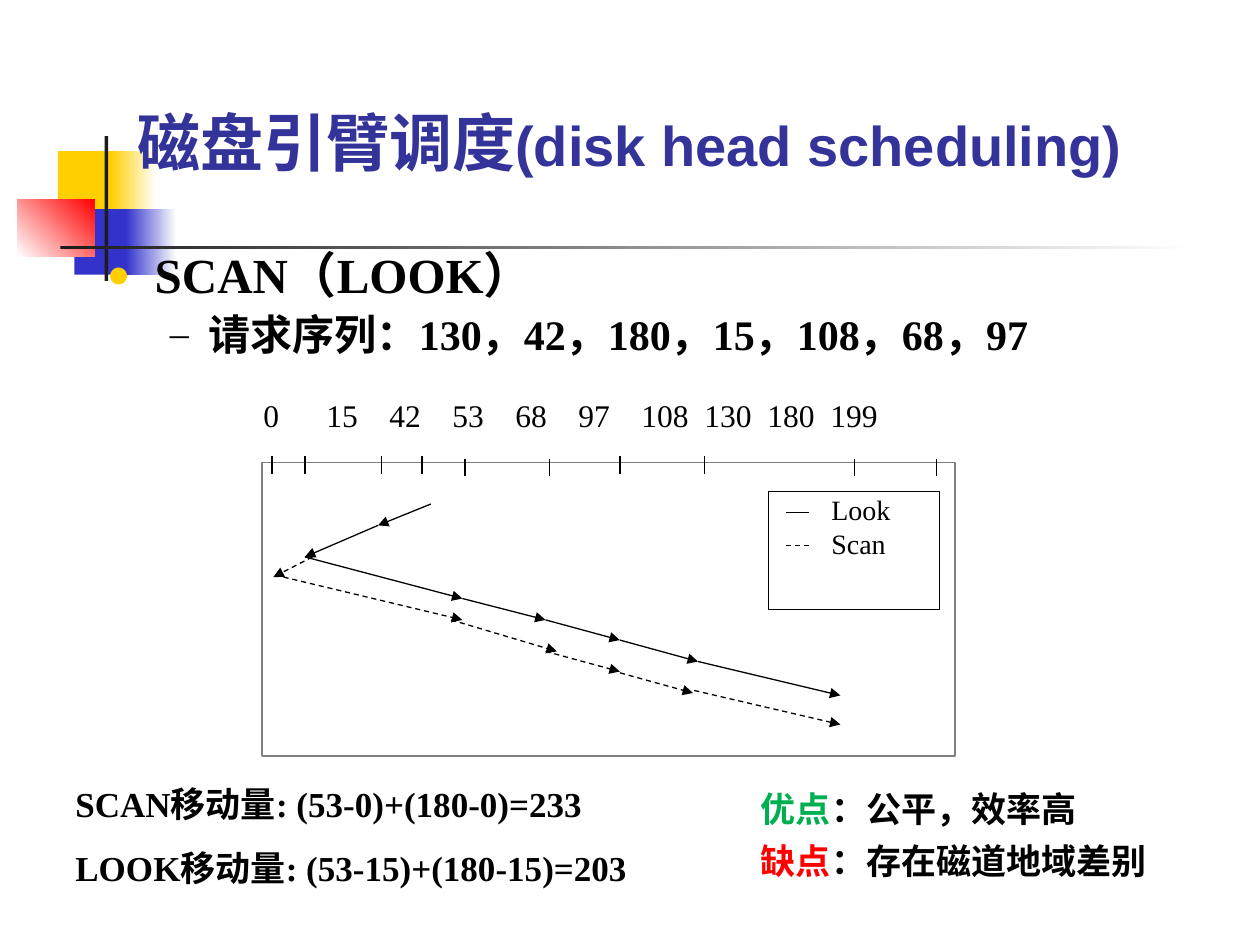
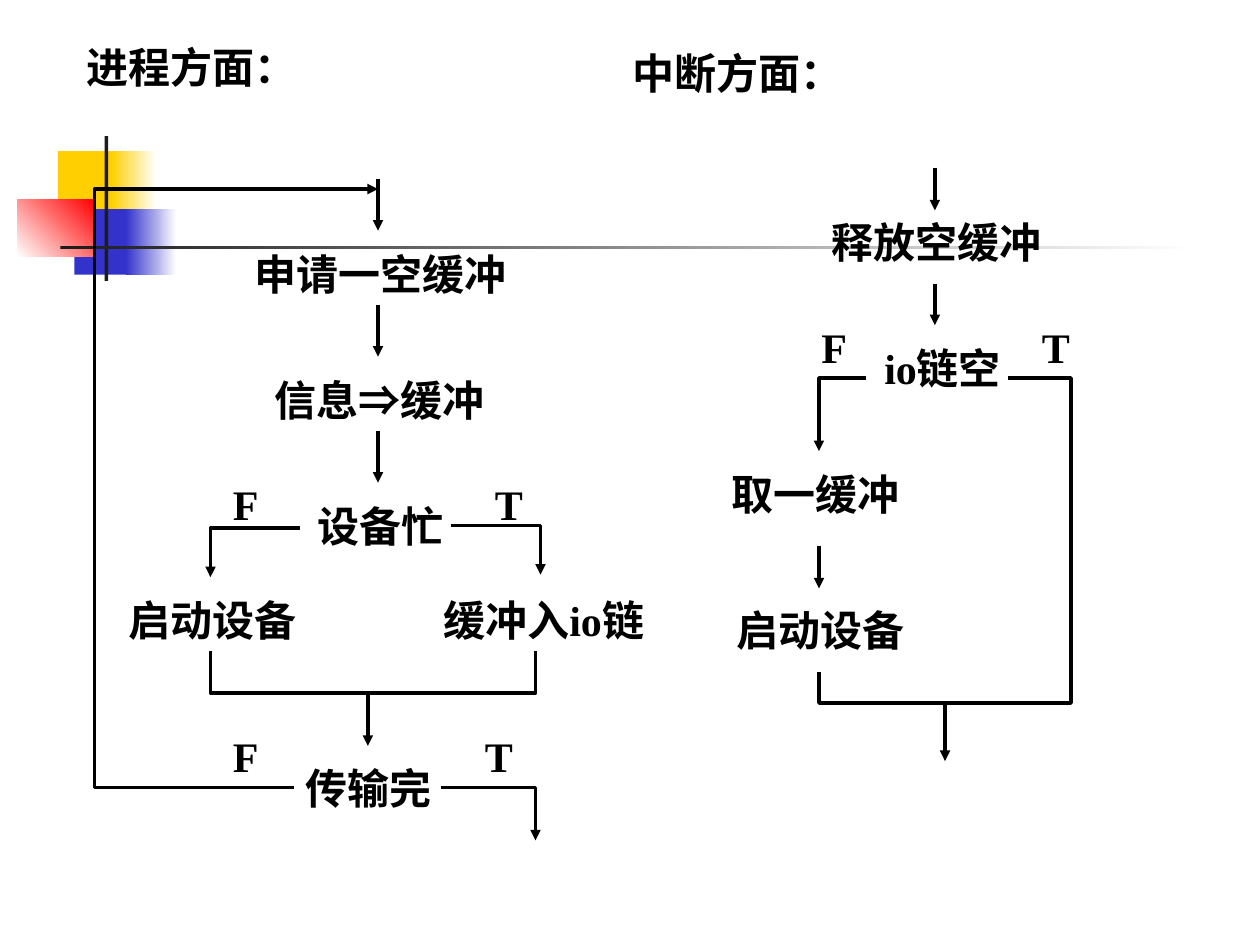
from dataclasses import dataclass
from itertools import pairwise
from typing import Optional

from lxml import etree
from pptx import Presentation
from pptx.dml.color import RGBColor
from pptx.enum.dml import MSO_LINE
from pptx.enum.lang import MSO_LANGUAGE_ID
from pptx.enum.shapes import MSO_CONNECTOR, MSO_SHAPE
from pptx.enum.text import MSO_ANCHOR, PP_ALIGN
from pptx.oxml.ns import qn
from pptx.util import Inches, Pt

RECTANGLE = MSO_SHAPE.RECTANGLE
STRAIGHT = MSO_CONNECTOR.STRAIGHT
DASH = MSO_LINE.DASH
CENTER, LEFT = PP_ALIGN.CENTER, PP_ALIGN.LEFT
MIDDLE, TOP = MSO_ANCHOR.MIDDLE, MSO_ANCHOR.TOP
CHINESE = MSO_LANGUAGE_ID.SIMPLIFIED_CHINESE

COLORS = {
    "yellow": "FFCF01", "blue": "3333CC", "red": "FF0000", "white": "FFFFFF",
    "charcoal": "1C1C1C", "title": "333399", "black": "000000",
    "gray": "808080", "green": "00B050",
}
SERIF, SANS, NOTE_FONT = "Times New Roman", "Arial", "Karla"

Point = tuple[float, float]
Box = tuple[float, float, float, float]


@dataclass(frozen=True)
class Run:
    text: str
    size: float = 24
    font: str = SERIF
    color: str = "black"
    bold: bool = True


@dataclass(frozen=True)
class Bullet:
    char: str
    color: str
    percent: int


@dataclass(frozen=True)
class Para:
    runs: list[Run]
    before: float = 0
    spacing: Optional[float] = None
    align: PP_ALIGN = LEFT
    indent: Point = (0, 0)  # left margin, first line
    bullet: Optional[Bullet] = None
    tabs: tuple[float, ...] = ()


@dataclass(frozen=True)
class Band:
    box: Box
    start: str
    end: Optional[str] = None
    angle: float = 0


BANDS = [
    Band((0.46, 1.2, 0.48, 0.52), "yellow"),
    Band((0.88, 1.2, 0.36, 0.52), "yellow", "white"),
    Band((0.59, 1.66, 0.46, 0.52), "blue"),
    Band((1, 1.66, 0.4, 0.52), "blue", "white"),
    Band((0.14, 1.58, 0.61, 0.46), "white", "red", 45),
    Band((0.83, 1.08, 0.03, 1.15), "charcoal"),
    Band((0.48, 1.95, 9, 0.03), "charcoal", "white"),
]

# Track number, label left edge, tick x, tick top
TRACKS = [
    ("0", 2.09, 2.16, 3.62), ("15", 2.33, 2.42, 3.62), ("42", 2.9, 3.03, 3.62),
    ("53", 3.27, 3.35, 3.62), ("68", 3.65, 3.69, 3.64), ("97", 4.28, 4.36, 3.64),
    ("108", 4.77, 4.92, 3.62), ("130", 5.46, 5.59, 3.62),
    ("180", 6.52, 6.78, 3.64), ("199", 7.15, 7.43, 3.64),
]
TICK_LENGTH = 0.14
LOOK_ROUTE = [(3.42, 4), (3, 4.17), (2.42, 4.42), (3.67, 4.75), (4.33, 4.92),
              (4.92, 5.08), (5.54, 5.25), (6.67, 5.52)]
SCAN_MOVES = [
    ((2.48, 4.42), (2.17, 4.58)), ((2.25, 4.58), (3.67, 4.92)),
    ((3.58, 4.92), (4.42, 5.17)), ((4.33, 5.17), (4.92, 5.33)),
    ((4.92, 5.34), (5.5, 5.5)), ((5.51, 5.48), (6.67, 5.75)),
]

# Text, left, top, width
FLOW_STEPS = [
    ("进程方面：", 0.59, 0.28, 1.83), ("中断方面：", 4.92, 0.33, 1.83),
    ("申请一空缓冲", 1.92, 1.92, 2.33), ("设备忙", 2.42, 3.92, 1.33),
    ("启动设备", 0.92, 4.67, 1.75), ("缓冲入io链", 3.42, 4.67, 1.92),
    ("传输完", 2.33, 6, 1.5), ("释放空缓冲", 6.5, 1.67, 1.92),
    ("io链空", 6.92, 2.67, 1.33), ("取一缓冲", 5.71, 3.67, 1.58),
    ("启动设备", 5.75, 4.75, 1.58),
    ("F", 1.75, 3.75, 0.42), ("T", 3.83, 3.75, 0.42),
    ("F", 1.75, 5.75, 0.42), ("T", 3.75, 5.75, 0.42),
    ("F", 6.42, 2.5, 0.42), ("T", 8.17, 2.5, 0.42),
]
# x, top, bottom
DOWN_ARROWS = [
    (3, 1.42, 1.83), (3, 2.42, 2.83), (3, 3.42, 3.83), (2.92, 5.5, 5.92),
    (7.42, 1.33, 1.67), (7.42, 2.25, 2.58), (6.5, 4.33, 4.67), (7.5, 5.58, 6.04),
]
BRANCHES = [
    [(3.58, 4.17), (4.29, 4.17), (4.29, 4.56)],
    [(2.38, 4.19), (1.67, 4.19), (1.67, 4.58)],
    [(2.33, 6.25), (0.75, 6.25), (0.75, 1.5), (3, 1.5)],
    [(3.5, 6.25), (4.25, 6.25), (4.25, 6.67)],
    [(6.87, 3), (6.5, 3), (6.5, 3.58)],
]
MERGES = [
    [(8, 3), (8.5, 3), (8.5, 5.58), (6.5, 5.58), (6.5, 5.33)],
    [(1.67, 5.17), (1.67, 5.5), (4.25, 5.5), (4.25, 5.17)],
]


def rgb(name: str) -> RGBColor:
    return RGBColor.from_string(COLORS[name])


def add_child(parent, tag: str, **attributes: str):
    return etree.SubElement(parent, qn(tag), attributes)


def style_line(line, color: str, width: float, dashed: bool = False, arrow: bool = False) -> None:
    line.color.rgb = rgb(color)
    line.width = Pt(width)
    if dashed:
        line.dash_style = DASH
    if arrow:
        add_child(line._get_or_add_ln(), "a:tailEnd", type="triangle")


def draw_band(slide, band: Band) -> None:
    shape = slide.shapes.add_shape(RECTANGLE, *map(Inches, band.box))
    shape.shadow.inherit = False
    shape.line.fill.background()
    if band.end is None:
        shape.fill.solid()
        shape.fill.fore_color.rgb = rgb(band.start)
        return
    shape.fill.gradient()
    shape.fill.gradient_angle = band.angle
    for stop, color in zip(shape.fill.gradient_stops, (band.start, band.end)):
        stop.color.rgb = rgb(color)


def draw_frame(slide, box: Box, color: str):
    frame = slide.shapes.add_shape(RECTANGLE, *map(Inches, box))
    frame.shadow.inherit = False
    frame.fill.background()
    style_line(frame.line, color, 0.75)
    return frame


def draw_line(slide, start: Point, end: Point, width: float = 0.75,
              dashed: bool = False, arrow: bool = False) -> None:
    line = slide.shapes.add_connector(STRAIGHT, *map(Inches, (*start, *end)))
    style_line(line.line, "black", width, dashed, arrow)
    add_child(line._element.spPr, "a:effectLst")


def draw_route(slide, points: list[Point], arrow: bool) -> None:
    """Draw an open, bent line through the points."""
    corners = [(Inches(x), Inches(y)) for x, y in points]
    builder = slide.shapes.build_freeform(*corners[0])
    builder.add_line_segments(corners[1:], close=False)
    route = builder.convert_to_shape()
    route.shadow.inherit = False
    route.fill.background()
    style_line(route.line, "black", 2, arrow=arrow)


def format_paragraph(paragraph, para: Para) -> None:
    paragraph.alignment = para.align
    paragraph.space_before = Pt(para.before)
    if para.spacing:
        paragraph.line_spacing = para.spacing
    props = paragraph._p.get_or_add_pPr()
    margin, first_line = para.indent
    props.set("marL", str(Inches(margin)))
    props.set("indent", str(Inches(first_line)))
    if para.bullet:
        color = add_child(props, "a:buClr")
        add_child(color, "a:srgbClr", val=COLORS[para.bullet.color])
        add_child(props, "a:buSzPct", val=str(para.bullet.percent * 1000))
        add_child(props, "a:buFont", typeface=SERIF)
        add_child(props, "a:buChar", char=para.bullet.char)
    if para.tabs:
        stops = add_child(props, "a:tabLst")
        for position in para.tabs:
            add_child(stops, "a:tab", pos=str(Inches(position)), algn="l")


def fill_text(frame, paras: list[Para], insets: Box = (0.1, 0.05, 0.1, 0.05),
              anchor: MSO_ANCHOR = TOP) -> None:
    frame.word_wrap = True
    frame.vertical_anchor = anchor
    (frame.margin_left, frame.margin_top,
     frame.margin_right, frame.margin_bottom) = map(Inches, insets)
    for index, para in enumerate(paras):
        paragraph = frame.add_paragraph() if index else frame.paragraphs[0]
        format_paragraph(paragraph, para)
        for part in para.runs:
            run = paragraph.add_run()
            run.text = part.text
            run.font.size = Pt(part.size)
            run.font.name = part.font
            run.font.bold = part.bold
            run.font.color.rgb = rgb(part.color)
            run.font.language_id = CHINESE


def add_text(slide, box: Box, paras: list[Para], **layout) -> None:
    fill_text(slide.shapes.add_textbox(*map(Inches, box)).text_frame, paras, **layout)


def new_slide(deck):
    slide = deck.slides.add_slide(deck.slide_layouts[6])
    for band in BANDS:
        draw_band(slide, band)
    return slide


def draw_track_chart(slide) -> None:
    draw_frame(slide, (2.08, 3.67, 5.5, 2.33), "gray")
    origin = TRACKS[0][1]
    labels = "\t".join(track[0] for track in TRACKS)
    tabs = tuple(round(track[1] - origin, 2) for track in TRACKS[1:])
    add_text(slide, (2.07, 3.14, 5.49, 0.53),
             [Para([Run(labels, 18, bold=False)], tabs=tabs)], insets=(0.02, 0, 0.02, 0))
    for _, _, x, top in TRACKS:
        draw_line(slide, (x, top), (x, top + TICK_LENGTH))
    for start, end in pairwise(LOOK_ROUTE):
        draw_line(slide, start, end, arrow=True)
    for start, end in SCAN_MOVES:
        draw_line(slide, start, end, dashed=True, arrow=True)

    legend = draw_frame(slide, (6.1, 3.9, 1.36, 0.94), "black")
    fill_text(legend.text_frame,
              [Para([Run(name, 16, bold=False)], indent=(0.4, 0)) for name in ("Look", "Scan")],
              insets=(0.1, 0.01, 0.1, 0.05))
    for y, dashed in ((4.07, False), (4.33, True)):
        draw_line(slide, (6.24, y), (6.42, y), dashed=dashed)


def build_scheduling_slide(deck) -> None:
    slide = new_slide(deck)
    add_text(slide, (0.75, 0.5, 8.5, 1.25), [Para([
        Run("磁盘引臂调度", 36, SANS, "title"),
        Run("(disk head scheduling)", 32, SANS, "title")], align=CENTER)], anchor=MIDDLE)
    add_text(slide, (0.75, 1.94, 8.5, 0.89), [
        Para([Run("SCAN（LOOK）", 28)], spacing=0.9, indent=(0.38, -0.38),
             bullet=Bullet("●", "yellow", 80)),
        Para([Run("请求序列：130，42，180，15，108，68，97")], 6, 0.9, indent=(0.81, -0.31),
             bullet=Bullet("–", "black", 90))])
    add_text(slide, (0.5, 6.16, 5.2, 0.94), [
        Para([Run("SCAN移动量: (53-0)+(180-0)=233", 20)]),
        Para([Run("LOOK移动量: (53-15)+(180-15)=203", 20)], 12.5)])
    draw_track_chart(slide)
    verdicts = [("优点", "green", "：公平，效率高", 0), ("缺点", "red", "：存在磁道地域差别", 6)]
    add_text(slide, (5.94, 6.2, 3.31, 0.85), [
        Para([Run(label, 20, NOTE_FONT, color), Run(detail, 20, NOTE_FONT)], before)
        for label, color, detail, before in verdicts])


def build_buffer_flow_slide(deck) -> None:
    slide = new_slide(deck)
    for text, left, top, width in FLOW_STEPS:
        add_text(slide, (left, top, width, 0.5), [Para([Run(text)])])
    add_text(slide, (2.08, 2.92, 2, 0.5),
             [Para([Run("信息"), Run("⇒", font=SANS), Run("缓冲")])])
    for x, top, bottom in DOWN_ARROWS:
        draw_line(slide, (x, top), (x, bottom), width=2, arrow=True)
    for points in BRANCHES:
        draw_route(slide, points, arrow=True)
    for points in MERGES:
        draw_route(slide, points, arrow=False)


def main() -> None:
    deck = Presentation()
    deck.slide_width, deck.slide_height = Inches(10), Inches(7.5)
    build_scheduling_slide(deck)
    build_buffer_flow_slide(deck)
    deck.save("out.pptx")


if __name__ == "__main__":
    main()
